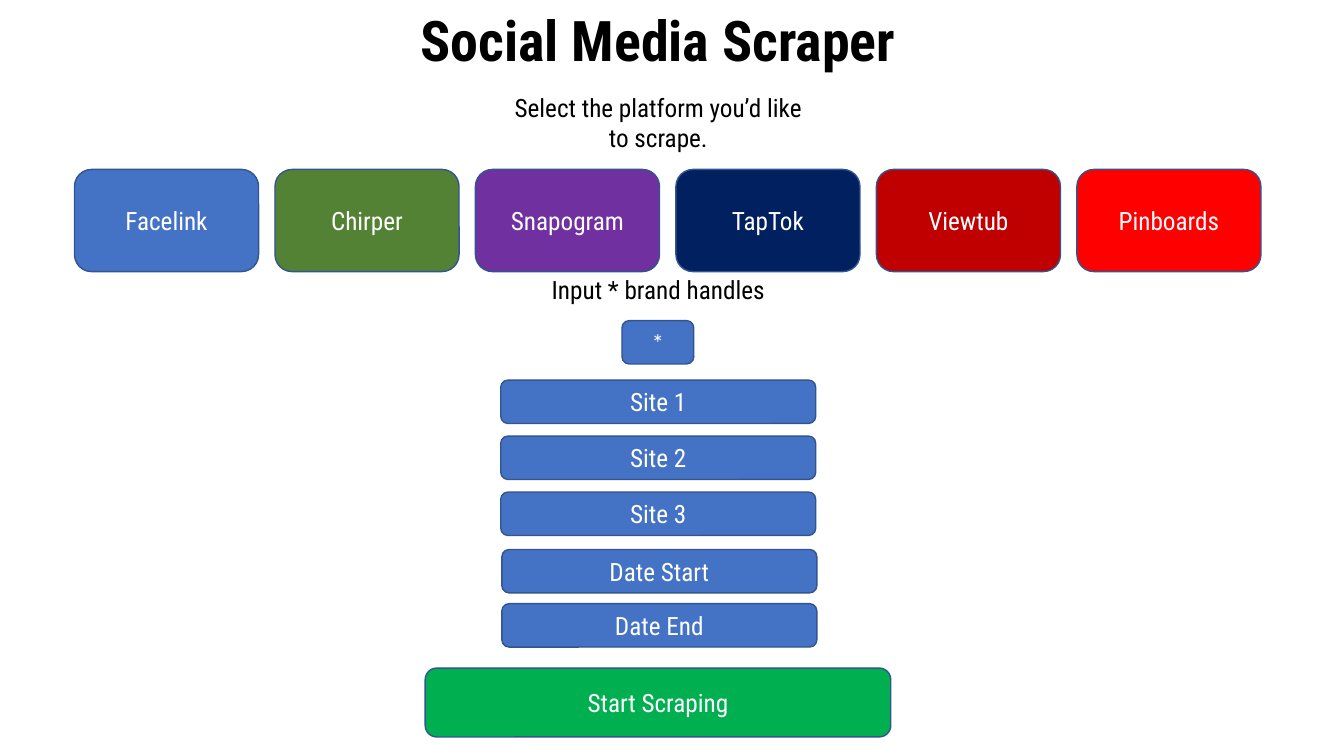
from pptx import Presentation
from pptx import util as u
from pptx.dml.color import RGBColor
from pptx.enum import shapes, text

Pt = u.Pt

BLACK = RGBColor(0x00, 0x00, 0x00)
WHITE = RGBColor(0xFF, 0xFF, 0xFF)
BLUE = RGBColor(0x44, 0x72, 0xC4)
OUTLINE = RGBColor(0x32, 0x54, 0x91)
OLIVE = RGBColor(0x54, 0x82, 0x35)
PURPLE = RGBColor(0x70, 0x30, 0xA0)
NAVY = RGBColor(0x00, 0x20, 0x60)
CRIMSON = RGBColor(0xC0, 0x00, 0x00)
RED = RGBColor(0xFF, 0x00, 0x00)
GREEN = RGBColor(0x00, 0xB0, 0x50)


class ScraperSlide:
    font = "Roboto Condensed"
    size = 18

    def __init__(self, deck):
        self.slide = deck.slides.add_slide(deck.slide_layouts[5])

    def label(self, frame, words, color, anchor, size=None, bold=False, font=None):
        frame.word_wrap = True
        frame.auto_size = text.MSO_AUTO_SIZE.NONE
        frame.vertical_anchor = anchor
        line = frame.paragraphs[0]
        line.alignment = text.PP_ALIGN.CENTER
        run = line.add_run()
        run.text = words
        run.font.name = font or self.font
        run.font.size = Pt(size or self.size)
        run.font.bold = bold
        run.font.color.rgb = color

    def title(self, words, left, top, width, height):
        heading = self.slide.shapes.title
        heading.left, heading.top = Pt(left), Pt(top)
        heading.width, heading.height = Pt(width), Pt(height)
        self.label(heading.text_frame, words, BLACK, text.MSO_ANCHOR.TOP, 40, True)

    def prompt(self, words, left, top, width, height):
        box = self.slide.shapes.add_textbox(Pt(left), Pt(top), Pt(width), Pt(height))
        self.label(box.text_frame, words, BLACK, text.MSO_ANCHOR.TOP)

    def button(self, words, left, top, width, height, fill=BLUE, font=None):
        button = self.slide.shapes.add_shape(
            shapes.MSO_SHAPE.ROUNDED_RECTANGLE, Pt(left), Pt(top), Pt(width), Pt(height))
        button.shadow.inherit = False
        button.fill.solid()
        button.fill.fore_color.rgb = fill
        button.line.color.rgb = OUTLINE
        button.line.width = Pt(1)
        self.label(button.text_frame, words, WHITE, text.MSO_ANCHOR.MIDDLE, font=font)


deck = Presentation()
deck.slide_width, deck.slide_height = Pt(960), Pt(540)
scraper = ScraperSlide(deck)

# Heading and platform choice
scraper.title("Social Media Scraper", 270.5, 0, 399, 55.5)
scraper.prompt("Select the platform you\u2019d like to scrape.", 358, 62.5, 224.5, 51)

platforms = [("Facelink", BLUE), ("Chirper", OLIVE), ("Snapogram", PURPLE),
             ("TapTok", NAVY), ("Viewtub", CRIMSON), ("Pinboards", RED)]
for column, (platform, fill) in enumerate(platforms):
    scraper.button(platform, 53.2 + 143.2 * column, 121, 131.5, 73, fill)

# Brand handles
FIELD_WIDTH, FIELD_HEIGHT = 225, 31
scraper.prompt("Input * brand handles", 358, 192.5, 224.5, 29)
scraper.button("*", 444.3, 229, 51.3, FIELD_HEIGHT, font="Calibri")
for row in range(3):
    scraper.button(f"Site {row + 1}", 357.7, 271.5 + 40 * row, FIELD_WIDTH, FIELD_HEIGHT)

# Date range
for row, date in enumerate(["Date Start", "Date End"]):
    scraper.button(date, 358.5, 392.5 + 38.7 * row, FIELD_WIDTH, FIELD_HEIGHT)

# Launch
scraper.button("Start Scraping", 303.7, 477.2, 332.6, 49.2, GREEN)

deck.save("out.pptx")
